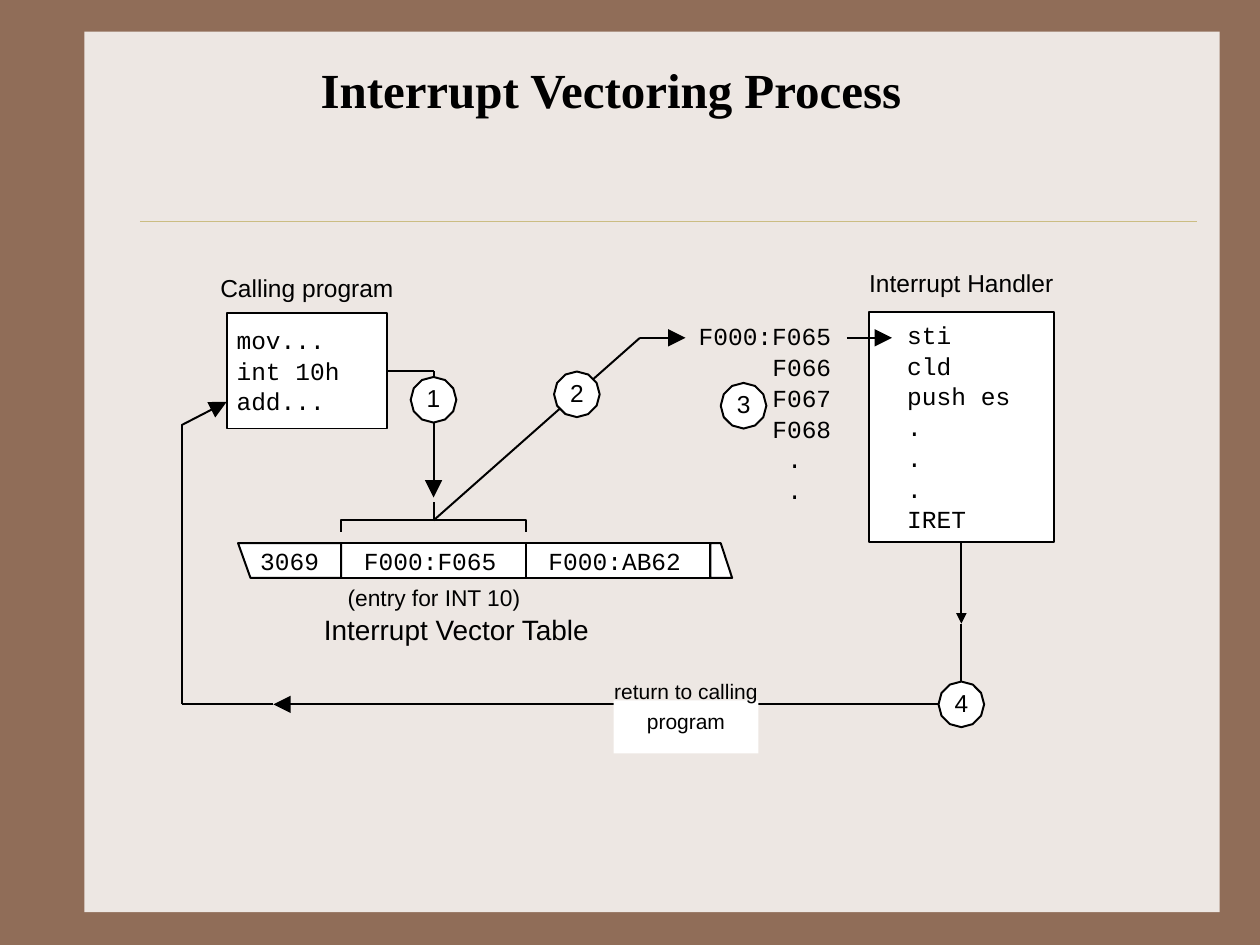
from itertools import pairwise
from math import cos, pi, sin

from lxml import etree
from pptx import Presentation
from pptx.dml.color import RGBColor
from pptx.enum.shapes import MSO_CONNECTOR, MSO_SHAPE
from pptx.enum.text import MSO_ANCHOR, PP_ALIGN
from pptx.oxml.ns import qn
from pptx.util import Cm, Pt

RECTANGLE = MSO_SHAPE.RECTANGLE
STRAIGHT = MSO_CONNECTOR.STRAIGHT
LEFT, CENTER, RIGHT = PP_ALIGN.LEFT, PP_ALIGN.CENTER, PP_ALIGN.RIGHT
MIDDLE = MSO_ANCHOR.MIDDLE
BOTTOM_SIDE, RIGHT_SIDE = 2, 3

COLORS = {"frame": "906D58", "panel": "EDE7E3", "rule": "CBBD83",
          "ink": "000000", "paper": "FFFFFF"}
LINE_WIDTH = 1.13
PITCH = 0.62
LABEL_OVERHANG = 0.4
FRAME = {"margin_left": 0, "margin_top": 0, "margin_right": 0,
         "margin_bottom": 0, "word_wrap": False}
CODE = {"name": "Courier New", "size": Pt(14), "bold": False}
LABEL = {"name": "Arial", "size": Pt(14), "bold": False}
NOTE = LABEL | {"size": Pt(13)}
CAPTION = LABEL | {"size": Pt(16)}
SMALL = LABEL | {"size": Pt(12)}
TITLE = {"name": "Times New Roman", "size": Pt(28), "bold": True}


def color(name):
    """Return the named palette colour."""
    return RGBColor.from_string(COLORS[name])


def write(shape, text, style, align=CENTER, **frame_values):
    """Write one formatted paragraph into a shape."""
    frame = shape.text_frame
    for key, value in (FRAME | frame_values).items():
        setattr(frame, key, value)
    paragraph = frame.paragraphs[0]
    paragraph.text = text
    paragraph.alignment = align
    for key, value in style.items():
        setattr(paragraph.font, key, value)
    paragraph.font.color.rgb = color("ink")


def add_text(slide, box, text, style, align=LEFT):
    """Add a text box at the given box."""
    write(slide.shapes.add_textbox(*map(Cm, box)), text, style, align)


def paint(shape, fill="paper", line="ink"):
    """Set fill and outline of a shape, and remove its shadow."""
    shape.shadow.inherit = False
    if fill:
        shape.fill.solid()
        shape.fill.fore_color.rgb = color(fill)
    else:
        shape.fill.background()
    if line:
        shape.line.color.rgb = color(line)
        shape.line.width = Pt(LINE_WIDTH)
    else:
        shape.line.fill.background()
    return shape


def add_rect(slide, box, fill="paper", line="ink"):
    """Add a painted rectangle."""
    return paint(slide.shapes.add_shape(RECTANGLE, *map(Cm, box)), fill, line)


def add_outline(slide, points, closed=True, fill="paper"):
    """Add a painted polygon or open polyline."""
    start, *rest = [(Cm(x), Cm(y)) for x, y in points]
    builder = slide.shapes.build_freeform(*start)
    builder.add_line_segments(rest, close=closed)
    return paint(builder.convert_to_shape(), fill)


def add_route(slide, points, arrow=None, line="ink", width=LINE_WIDTH):
    """Join points with straight connectors, the last with an arrowhead."""
    segments = []
    for start, end in pairwise(points):
        segment = slide.shapes.add_connector(STRAIGHT, *map(Cm, start + end))
        segment.line.color.rgb = color(line)
        segment.line.width = Pt(width)
        etree.SubElement(segment._element.spPr, qn("a:effectLst"))
        segments.append(segment)
    if arrow:
        etree.SubElement(segments[-1].line._get_or_add_ln(), qn("a:tailEnd"),
                         type="triangle", w=arrow, len=arrow)
    return segments


def add_badge(slide, number, x, y, radius=0.46):
    """Add a numbered twelve-sided step badge centred on a point."""
    corners = [(x + radius * cos(step * pi / 6), y + radius * sin(step * pi / 6))
               for step in range(12)]
    write(add_outline(slide, corners), str(number), LABEL,
          vertical_anchor=MIDDLE, margin_bottom=Cm(0.08))


def add_lines(slide, left, top, width, lines, style=CODE, align=LEFT):
    """Stack lines of text at an even pitch."""
    for row, line in enumerate(lines):
        add_text(slide, (left, top + row * PITCH, width, 0.58), line, style, align)


def add_backdrop(slide, left, top, width, height):
    """Add the panel with its title and rule."""
    add_rect(slide, (left, top, width, height), "panel", None)
    add_route(slide, [(left + 1.12, top + 3.81), (left + 22.43, top + 3.81)],
              line="rule", width=0.25)
    add_text(slide, (left + 4.33, top + 0.56, 12.57, 1.45),
             "Interrupt Vectoring Process", TITLE, CENTER)


def add_program(slide, left, top, width, height, name, lines, indent, gap, rise):
    """Add a program box with its name above and its code inside."""
    box = add_rect(slide, (left, top, width, height))
    add_text(slide, (left - LABEL_OVERHANG, top - rise, width + 2 * LABEL_OVERHANG, 0.58),
             name, LABEL, CENTER)
    add_lines(slide, left + indent, top + gap, width - indent, lines)
    return box


def add_vector_table(slide, left, top, width, height):
    """Add the vector table with torn ends, its bracket and captions."""
    bottom, right = top + height, left + width
    cell, first = 3.72, left + 2.08
    for column, entry in enumerate(["F000:F065", "F000:AB62"]):
        write(add_rect(slide, (first + column * cell, top, cell, height)), entry,
              CODE, vertical_anchor=MIDDLE, margin_right=Cm(0.13))
    second, end = first + cell, first + 2 * cell
    torn = add_outline(slide, [(left + 0.25, bottom), (first, bottom),
                               (first, top), (left, top)])
    write(torn, "3069", CODE, vertical_anchor=MIDDLE)
    add_outline(slide, [(end, bottom), (right, bottom), (right - 0.23, top), (end, top)])
    bar, middle = top - 0.46, first + cell / 2
    add_outline(slide, [(first, bar + 0.23), (first, bar), (second, bar),
                        (second, bar + 0.23)], closed=False, fill=None)
    add_route(slide, [(middle, bar - 0.36), (middle, bar)])
    add_text(slide, (left + 2.21, bottom + 0.11, 3.6, 0.56), "(entry for INT 10)", NOTE)
    add_text(slide, (left + 1.73, bottom + 0.69, 5.44, 0.69),
             "Interrupt Vector Table", CAPTION)


def add_addresses(slide, left, top, width):
    """Add the column of handler addresses."""
    add_lines(slide, left, top, width, ["F000:F065", "F066", "F067", "F068"], align=RIGHT)
    add_lines(slide, left, top + 4 * PITCH, width - 0.59, [".", "."], align=RIGHT)


def add_return_path(slide, left, top, width, height, handler):
    """Add the path from the handler back to the calling program."""
    right, bottom = left + width, top + height
    descent = add_route(slide, [(right, top), (right, top + 1.65)], "med")
    descent[0].begin_connect(handler, BOTTOM_SIDE)
    add_route(slide, [(right, top + 1.65), (right, bottom)])
    add_route(slide, [(right, bottom), (left + 1.85, bottom)], "lg")
    add_route(slide, [(left + 1.85, bottom), (left, bottom), (left, top - 2.35),
                      (left + 0.91, top - 2.82)], "lg")
    add_rect(slide, (left + 8.71, bottom - 0.08, 2.92, 1.07), line=None)
    add_lines(slide, left + 8.61, bottom - 0.53, 3.12,
              ["return to calling", "program"], SMALL, CENTER)
    add_badge(slide, 4, right, bottom)


def main():
    """Build the slide and save it."""
    deck = Presentation()
    deck.slide_width, deck.slide_height = Cm(25.4), Cm(19.05)
    slide = deck.slides.add_slide(deck.slide_layouts[6])
    slide.background.fill.solid()
    slide.background.fill.fore_color.rgb = color("frame")

    add_backdrop(slide, 1.7, 0.64, 22.89, 17.75)
    caller = add_program(slide, 4.57, 6.32, 3.24, 2.32, "Calling program",
                         ["mov...", "int 10h", "add..."], 0.2, 0.23, 0.81)
    handler = add_program(slide, 17.52, 6.3, 3.72, 4.62, "Interrupt Handler",
                          ["sti", "cld", "push es", ".", ".", ".", "IRET"],
                          0.77, 0.15, 0.89)
    add_vector_table(slide, 4.8, 10.95, 9.96, 0.7)
    add_addresses(slide, 13.79, 6.48, 2.97)

    call = add_route(slide, [(7.81, 7.48), (8.74, 7.48), (8.74, 10.03)], "lg")
    call[0].begin_connect(caller, RIGHT_SIDE)
    add_route(slide, [(8.74, 10.49), (12.9, 6.81), (13.82, 6.81)], "lg")
    add_route(slide, [(17.07, 6.81), (17.98, 6.81)], "lg")
    for number, center in enumerate([(8.74, 8.06), (11.63, 7.95), (14.99, 8.18)], 1):
        add_badge(slide, number, *center)
    add_return_path(slide, 3.66, 10.92, 15.72, 3.28, handler)
    deck.save("out.pptx")


if __name__ == "__main__":
    main()
